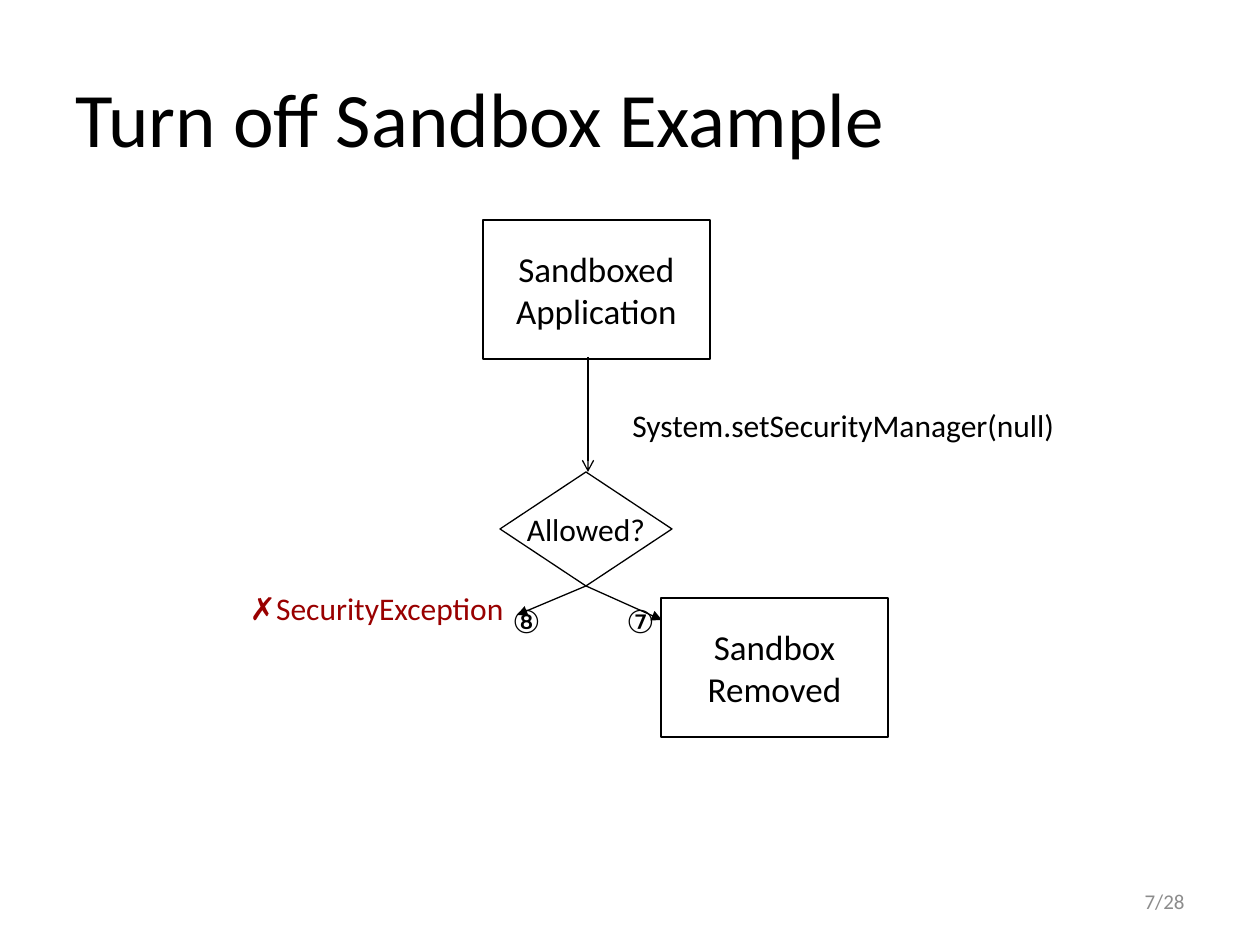
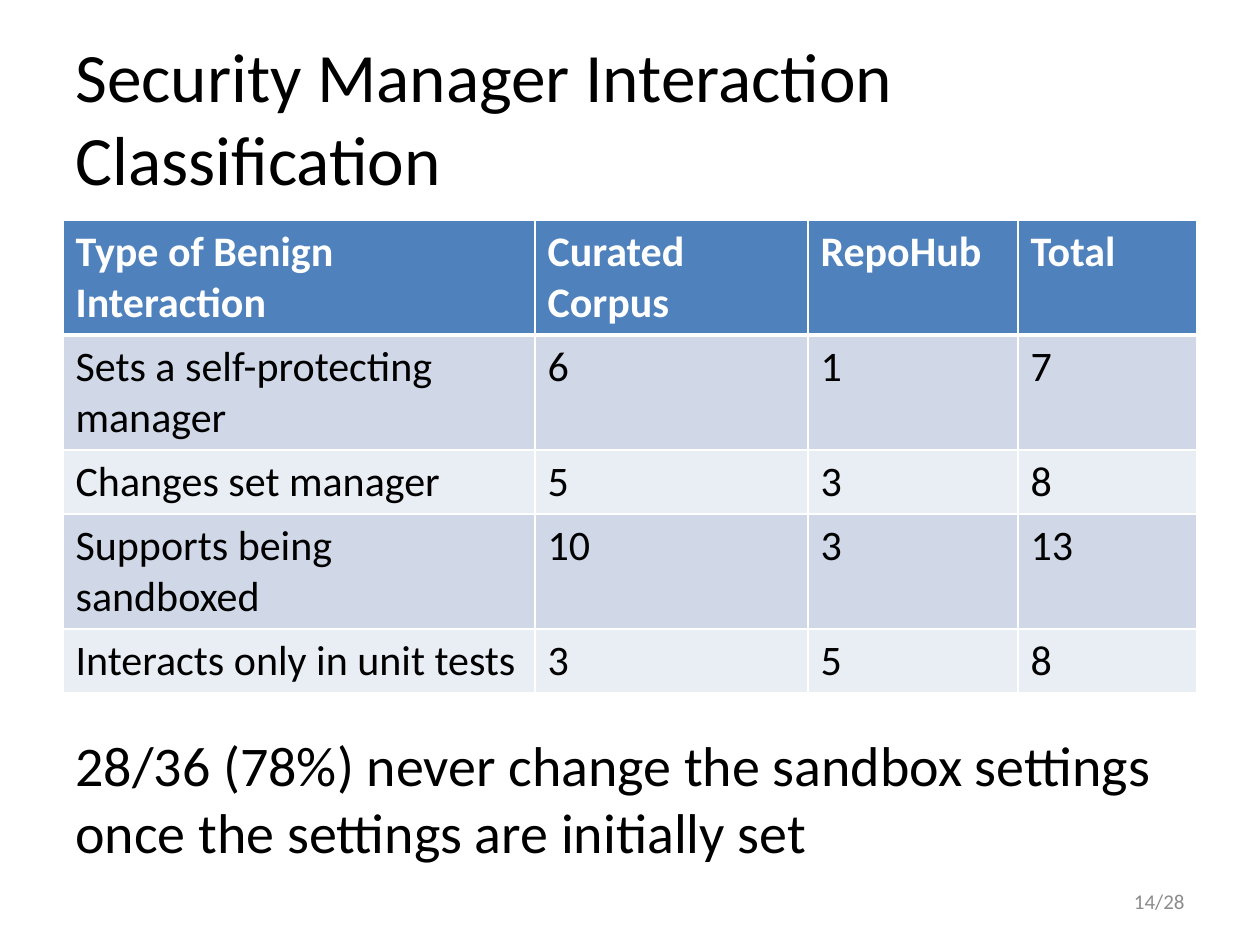
"""Build two slides on sandboxing: a decision flow and a classification table."""
import lxml.etree
import pptx
import pptx.dml.color
import pptx.enum.shapes
import pptx.enum.text
import pptx.oxml.ns
import pptx.util

PIXEL = 914400 // 126
FONT = "Calibri"
SYMBOL_FONT = "Arial"
COLORS = {
    "text": "000000",
    "page": "8C8C8C",
    "error": "990000",
    "header": "4F81BD",
    "odd_row": "D0D8E8",
    "even_row": "E9EDF4",
    "white": "FFFFFF",
}
PAGE_COUNT = 28
ALIGN = pptx.enum.text.PP_ALIGN
ANCHOR = pptx.enum.text.MSO_ANCHOR
SHAPE = pptx.enum.shapes.MSO_SHAPE


def lengths(*pixels):
    """Turn pixel lengths into EMU."""
    return [pptx.util.Emu(value * PIXEL) for value in pixels]


def rgb(color):
    """Look up a named color."""
    return pptx.dml.color.RGBColor.from_string(COLORS[color])


def set_font(font, size, color="text", name=FONT, bold=False):
    """Style one font."""
    font.name = name
    font.size = pptx.util.Pt(size)
    font.bold = bold
    font.color.rgb = rgb(color)


def write(frame, text, size, color="text", name=FONT, align=ALIGN.LEFT, anchor=ANCHOR.TOP, wrap=True):
    """Fill a text frame with evenly styled paragraphs."""
    frame.word_wrap = wrap
    frame.vertical_anchor = anchor
    frame.text = text
    for paragraph in frame.paragraphs:
        paragraph.alignment = align
        set_font(paragraph.font, size, color, name)


def add_text(slide, box, text, size, **style):
    """Add a text box."""
    shape = slide.shapes.add_textbox(*lengths(*box))
    write(shape.text_frame, text, size, **style)
    return shape


def add_node(slide, kind, box, text, size):
    """Add an outlined flow node with centred text."""
    shape = slide.shapes.add_shape(kind, *lengths(*box))
    shape.shadow.inherit = False
    shape.fill.background()
    shape.line.color.rgb = rgb("text")
    shape.line.width = pptx.util.Pt(0.75)
    write(shape.text_frame, text, size, align=ALIGN.CENTER, anchor=ANCHOR.MIDDLE, wrap=False)


def add_arrow(slide, start, end, head):
    """Add a straight arrow from start to end."""
    straight = pptx.enum.shapes.MSO_CONNECTOR.STRAIGHT
    connector = slide.shapes.add_connector(straight, *lengths(*start, *end))
    connector.line.color.rgb = rgb("text")
    connector.line.width = pptx.util.Pt(0.75)
    qn = pptx.oxml.ns.qn
    properties = connector.element.spPr
    lxml.etree.SubElement(properties.find(qn("a:ln")), qn("a:tailEnd"), type=head)
    lxml.etree.SubElement(properties, qn("a:effectLst"))


def set_borders(cell, top, bottom):
    """Draw white cell borders with the given top and bottom widths in points."""
    qn = pptx.oxml.ns.qn
    properties = cell._tc.get_or_add_tcPr()
    for side, width in (("L", 1), ("R", 1), ("T", top), ("B", bottom)):
        line = lxml.etree.SubElement(properties, qn(f"a:ln{side}"), w=str(pptx.util.Pt(width)))
        fill = lxml.etree.SubElement(line, qn("a:solidFill"))
        lxml.etree.SubElement(fill, qn("a:srgbClr"), val=COLORS["white"])


def add_table(slide, origin, widths, heights, rows):
    """Add a table with a header row and banded body rows."""
    box = lengths(*origin, sum(widths), sum(heights))
    table = slide.shapes.add_table(len(rows), len(widths), *box).table
    for column, width in zip(table.columns, lengths(*widths)):
        column.width = width
    for row, height in zip(table.rows, lengths(*heights)):
        row.height = height
    for row_index, values in enumerate(rows):
        header = row_index == 0
        band = "header" if header else "odd_row" if row_index % 2 else "even_row"
        for column_index, value in enumerate(values):
            cell = table.cell(row_index, column_index)
            set_borders(cell, 3 if row_index == 1 else 1, 3 if header else 1)
            cell.fill.solid()
            cell.fill.fore_color.rgb = rgb(band)
            cell.text = value
            set_font(cell.text_frame.paragraphs[0].font, 24, "white" if header else "text", bold=header)


def add_slide(presentation, title, title_size, page):
    """Add a blank slide with its title and page number."""
    slide = presentation.slides.add_slide(presentation.slide_layouts[6])
    add_text(slide, (63, 38, 1134, 157), title, title_size, anchor=ANCHOR.MIDDLE)
    add_text(slide, (903, 876, 294, 50), f"{page}/{PAGE_COUNT}", 12, color="page",
             align=ALIGN.RIGHT, anchor=ANCHOR.MIDDLE)
    return slide


def add_exception(slide):
    """Add the label of the refused branch."""
    shape = add_text(slide, (127, 583, 389, 63), "", 18, align=ALIGN.RIGHT)
    paragraph = shape.text_frame.paragraphs[0]
    for text, name in (("✗", SYMBOL_FONT), ("SecurityException", FONT)):
        run = paragraph.add_run()
        run.text = text
        set_font(run.font, 18, "error", name)


def build_flow(presentation):
    """Build the slide with the decision flow."""
    slide = add_slide(presentation, "Turn off Sandbox Example", 44, 7)
    add_node(slide, SHAPE.RECTANGLE, (483, 220, 227, 139), "Sandboxed\nApplication", 20)
    add_arrow(slide, (588, 357), (588, 472), "arrow")
    add_exception(slide)
    add_node(slide, SHAPE.DIAMOND, (500, 472, 172, 114), "Allowed?", 18)
    for end in ((662, 620), (517, 615)):
        add_arrow(slide, (586, 586), end, "triangle")
    for left, mark in ((500, "⑧"), (614, "⑦")):
        add_text(slide, (left, 596, 63, 50), mark, 18, name=SYMBOL_FONT)
    add_node(slide, SHAPE.RECTANGLE, (661, 598, 227, 139), "Sandbox\nRemoved", 20)
    add_text(slide, (620, 400, 504, 50), "System.setSecurityManager(null)", 18)


def build_classification(presentation):
    """Build the slide with the classification table."""
    slide = add_slide(presentation, "Security Manager Interaction Classification", 39.6, 14)
    rows = (
        ("Type of Benign Interaction", "Curated Corpus", "RepoHub", "Total"),
        ("Sets a self-protecting manager", "6", "1", "7"),
        ("Changes set manager", "5", "3", "8"),
        ("Supports being sandboxed", "10", "3", "13"),
        ("Interacts only in unit tests", "3", "5", "8"),
    )
    add_table(slide, (63, 220), (472, 273, 210, 179), (115, 115, 64, 115, 64), rows)
    summary = "28/36 (78%) never change the sandbox settings once the settings are initially set"
    add_text(slide, (63, 724, 1144, 149), summary, 32)


def main():
    """Build and save the presentation."""
    presentation = pptx.Presentation()
    presentation.slide_width, presentation.slide_height = lengths(1260, 945)
    build_flow(presentation)
    build_classification(presentation)
    presentation.save("out.pptx")


main()
